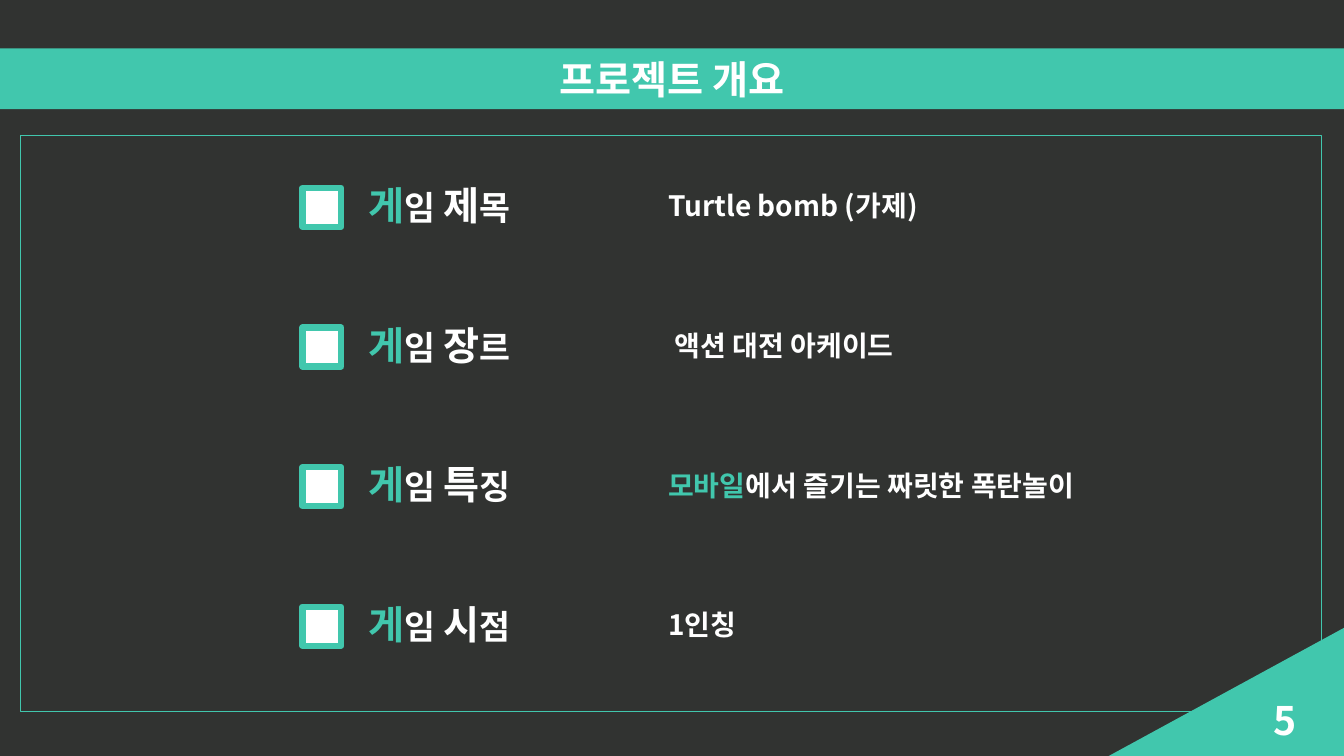
from lxml.etree import SubElement
from pptx import Presentation
from pptx.dml.color import RGBColor
from pptx.enum.shapes import MSO_SHAPE as Shape
from pptx.enum.text import MSO_ANCHOR as Anchor, PP_ALIGN as Align
from pptx.oxml.ns import qn
from pptx.util import Emu, Pt

PX = 9525
FONT = "Noto Sans CJK KR"
COLORS = {"background": "313331", "accent": "41C7AD", "light": "FFFFFF"}
ROW_TOP, ROW_STEP, ROW_HEIGHT = 164, 133, 68
BOX_SIZE = 37
ROW_FORMAT = {"line_spacing": 0.9, "space_after": Pt(6)}
ROWS = [
    ("제", "목", 333, [("Turtle bomb (가제)", 20, "light")]),
    ("장", "르", 333, [(" 액션 대전 아케이드", 20, "light")]),
    ("특", "징", 577, [("모바일", 20, "accent"), ("에서 즐기는 짜릿한 폭탄놀이", 20, "light")]),
    ("시", "점", 333, [("1인칭", 20, "light")]),
]


def color(name):
    """Return the named colour."""
    return RGBColor.from_string(COLORS[name])


def lengths(*pixels):
    """Turn px lengths into EMU."""
    return [Emu(value * PX) for value in pixels]


def add_block(slide, kind, box, fill=None, line=None, width=0):
    """Add a preset shape with an optional fill and outline."""
    shape = slide.shapes.add_shape(kind, *lengths(*box))
    shape.shadow.inherit = False
    if fill:
        shape.fill.solid()
        shape.fill.fore_color.rgb = color(fill)
    else:
        shape.fill.background()
    if line:
        shape.line.color.rgb = color(line)
        shape.line.width = Pt(width)
    else:
        shape.line.fill.background()
    return shape


def write_text(shape, runs, paragraph_format):
    """Write runs of (text, size, colour) into a vertically centred frame."""
    frame = shape.text_frame
    frame.word_wrap = True
    frame.vertical_anchor = Anchor.MIDDLE
    paragraph = frame.paragraphs[0]
    for name, value in paragraph_format.items():
        setattr(paragraph, name, value)
    for text, size, color_name in runs:
        run = paragraph.add_run()
        run.text = text
        for name, value in {"name": FONT, "size": Pt(size), "bold": True}.items():
            setattr(run.font, name, value)
        run.font.color.rgb = color(color_name)
        SubElement(run.font._element, qn("a:ea"), typeface=FONT)


def add_text(slide, box, runs, paragraph_format):
    """Add a text box holding one paragraph."""
    write_text(slide.shapes.add_textbox(*lengths(*box)), runs, paragraph_format)


def add_row(slide, index, row):
    """Add a checkbox, its label and its value."""
    large, small, value_width, value = row
    top = ROW_TOP + index * ROW_STEP
    add_block(slide, Shape.RECTANGLE, (288, top + 15, BOX_SIZE, BOX_SIZE), "light", "accent", 4.5)
    label = [("게", 28, "accent"), ("임 ", 24, "light"), (large, 28, "light"), (small, 24, "light")]
    add_text(slide, (342, top, 179, ROW_HEIGHT), label, ROW_FORMAT)
    add_text(slide, (627, top, value_width, ROW_HEIGHT), value, ROW_FORMAT)


def add_page_corner(slide, number):
    """Add the corner triangle and the page number."""
    corner = add_block(slide, Shape.RIGHT_TRIANGLE, (1056, 598, 224, 122), "accent")
    corner._element.spPr.find(qn("a:xfrm")).set("flipH", "1")
    add_text(slide, (956, 667, 288, 38), [(number, 28, "light")], {"alignment": Align.RIGHT})


def main():
    """Build and save the project overview slide."""
    presentation = Presentation()
    presentation.slide_width, presentation.slide_height = lengths(1280, 720)
    slide = presentation.slides.add_slide(presentation.slide_layouts[6])
    slide.background.fill.solid()
    slide.background.fill.fore_color.rgb = color("background")
    add_block(slide, Shape.RECTANGLE, (20, 129, 1239, 549), line="accent", width=0.75)
    title_bar = add_block(slide, Shape.RECTANGLE, (0, 46, 1280, 58), "accent")
    write_text(title_bar, [("프로젝트 개요", 28, "light")], {"alignment": Align.CENTER})
    for index, row in enumerate(ROWS):
        add_row(slide, index, row)
    add_page_corner(slide, "5")
    presentation.save("out.pptx")


if __name__ == "__main__":
    main()
